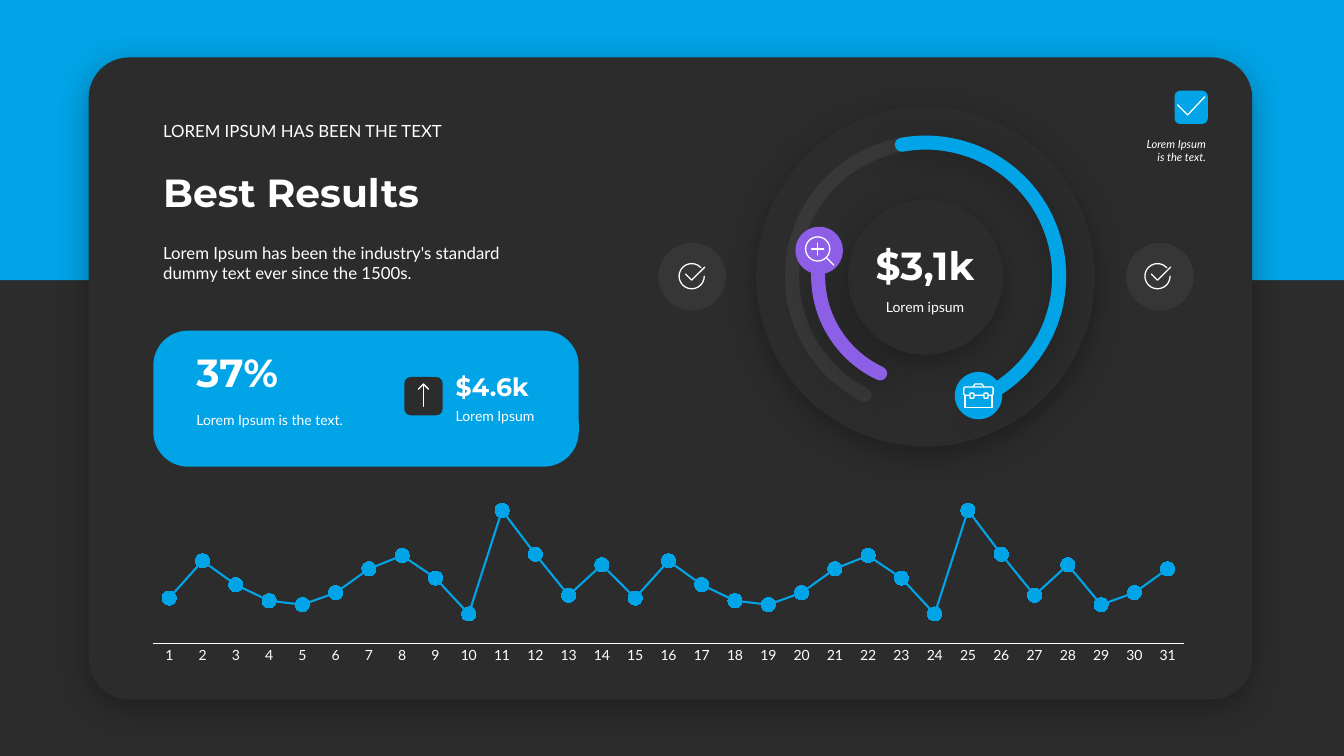
from lxml import etree
from pptx import Presentation
from pptx.chart.data import CategoryChartData
from pptx.dml.color import RGBColor
from pptx.enum.chart import XL_CHART_TYPE as ChartType, XL_MARKER_STYLE as Marker, XL_TICK_MARK as Tick
from pptx.enum.shapes import MSO_CONNECTOR as Connector, MSO_SHAPE as Shape
from pptx.enum.text import MSO_ANCHOR as Anchor, MSO_AUTO_SIZE as AutoSize, PP_ALIGN as Align
from pptx.oxml import parse_xml
from pptx.oxml.ns import nsdecls, qn
from pptx.util import Inches, Pt

BLUE = RGBColor(0x01, 0xA4, 0xE7)
DARK = RGBColor(0x2C, 0x2C, 0x2C)
PURPLE = RGBColor(0x8D, 0x5F, 0xE6)
WHITE = RGBColor(0xFF, 0xFF, 0xFF)
BODY_FONT, TITLE_FONT = "Lato", "Montserrat"
ICON_WIDTH = 0.9
RESULTS = [34, 62, 44, 32, 29, 38, 56, 66, 49, 22, 100, 67, 36, 59, 34, 62,
           44, 32, 29, 38, 56, 66, 49, 22, 100, 67, 36, 59, 29, 38, 56]


def set_alpha(shape, percent):
    for color in shape._element.spPr.iter(qn("a:srgbClr")):
        etree.SubElement(color, qn("a:alpha")).set("val", str(percent * 1000))


def add_soft_shadow(shape):
    effects = shape._element.spPr.find(qn("a:effectLst"))
    effects.append(parse_xml(
        f'<a:outerShdw {nsdecls("a")} blurRad="{Pt(23)}" dist="{Pt(6)}" dir="5400000" '
        'algn="t" rotWithShape="0"><a:srgbClr val="000000"><a:alpha val="30000"/>'
        '</a:srgbClr></a:outerShdw>'))


def add_filled(slide, kind, box, color, corner=None, alpha=None, shadow=False):
    shape = slide.shapes.add_shape(kind, *map(Inches, box))
    shape.shadow.inherit = False
    shape.fill.solid()
    shape.fill.fore_color.rgb = color
    shape.line.fill.background()
    if corner is not None:
        shape.adjustments[0] = corner
    if alpha is not None:
        set_alpha(shape, alpha)
    if shadow:
        add_soft_shadow(shape)


def style_stroke(shape, color, width):
    """Give an outline its colour, width and round ends."""
    shape.line.color.rgb = color
    shape.line.width = Pt(width)
    shape.line._ln.set("cap", "rnd")


def add_outline(slide, kind, box, color=WHITE, width=ICON_WIDTH):
    shape = slide.shapes.add_shape(kind, *map(Inches, box))
    shape.shadow.inherit = False
    shape.fill.background()
    style_stroke(shape, color, width)
    return shape


def add_arc(slide, center, radius, start, end, color=WHITE, width=ICON_WIDTH):
    """Draw an arc clockwise between two angles in degrees, counted from the right."""
    x, y = center
    arc = add_outline(slide, Shape.ARC, (x - radius, y - radius, 2 * radius, 2 * radius),
                      color, width)
    # One degree is 60000 units, and an adjustment of 1.0 is 100000 units.
    arc.adjustments[0], arc.adjustments[1] = start * 0.6, end * 0.6
    return arc


def add_line(slide, *ends):
    line = slide.shapes.add_connector(Connector.STRAIGHT, *map(Inches, ends))
    style_stroke(line, WHITE, ICON_WIDTH)
    etree.SubElement(line._element.spPr, qn("a:effectLst"))


def add_polyline(slide, points):
    start, *corners = [(Inches(x), Inches(y)) for x, y in points]
    builder = slide.shapes.build_freeform(*start)
    builder.add_line_segments(corners, close=False)
    polyline = builder.convert_to_shape()
    polyline.shadow.inherit = False
    polyline.fill.background()
    style_stroke(polyline, WHITE, ICON_WIDTH)


def add_text(slide, box, text, size, font=BODY_FONT, bold=False, italic=False,
             align=Align.LEFT, anchor=Anchor.TOP, side_inset=0.1, space_after=0):
    frame = slide.shapes.add_textbox(*map(Inches, box)).text_frame
    frame.text = text
    frame.word_wrap = True
    frame.auto_size = AutoSize.SHAPE_TO_FIT_TEXT
    frame.vertical_anchor = anchor
    frame.margin_left = frame.margin_right = Inches(side_inset)
    paragraph = frame.paragraphs[0]
    paragraph.alignment = align
    paragraph.space_after = Pt(space_after)
    style = paragraph.runs[0].font
    style.name, style.size, style.color.rgb = font, Pt(size), WHITE
    style.bold, style.italic = bold, italic


def add_headline(slide, box, text, size=28, **options):
    add_text(slide, box, text, size, TITLE_FONT, bold=True, anchor=Anchor.BOTTOM, **options)


def add_check_badge(slide, left, icon_x):
    add_filled(slide, Shape.OVAL, (left, 2.41, 0.67, 0.67), WHITE, alpha=5)
    add_arc(slide, (icon_x, 2.74), 0.125, -23, 318)
    add_polyline(slide, [(icon_x - 0.06, 2.72), (icon_x, 2.78), (icon_x + 0.13, 2.65)])


def add_briefcase(slide):
    add_outline(slide, Shape.ROUNDED_RECTANGLE, (9.56, 3.84, 0.29, 0.08))
    add_polyline(slide, [(9.57, 3.92), (9.57, 4.04), (9.84, 4.04), (9.84, 3.92)])
    add_polyline(slide, [(9.65, 3.84), (9.67, 3.81), (9.74, 3.81), (9.76, 3.84)])
    for clasp_left in (9.62, 9.76):
        add_filled(slide, Shape.ROUNDED_RECTANGLE, (clasp_left, 3.9, 0.04, 0.05), BLUE)
        add_outline(slide, Shape.ROUNDED_RECTANGLE, (clasp_left, 3.9, 0.04, 0.05))


def add_magnifier(slide):
    add_outline(slide, Shape.OVAL, (7.99, 2.35, 0.24, 0.24))
    add_line(slide, 8.05, 2.47, 8.17, 2.47)
    add_line(slide, 8.11, 2.41, 8.11, 2.53)
    add_line(slide, 8.2, 2.56, 8.27, 2.63)


def add_gauge(slide):
    center = (9.18, 2.74)
    add_filled(slide, Shape.OVAL, (7.5, 1.06, 3.36, 3.37), DARK, shadow=True)
    set_alpha(add_arc(slide, center, 1.325, 117.12, 66.08, WHITE, 10), 5)
    add_filled(slide, Shape.OVAL, (8.41, 1.98, 1.54, 1.54), DARK, shadow=True)
    add_soft_shadow(add_arc(slide, center, 1.325, 259.76, 65.68, BLUE, 10))
    add_text(slide, (8.36, 2.91, 1.63, 0.27), "Lorem ipsum", 10,
             align=Align.CENTER, space_after=6)
    add_headline(slide, (8.36, 2.34, 1.63, 0.57), "$3,1k",
                 align=Align.CENTER, side_inset=0.08, space_after=6)
    add_filled(slide, Shape.OVAL, (9.47, 3.69, 0.47, 0.47), BLUE)
    add_briefcase(slide)
    add_soft_shadow(add_arc(slide, center, 1.065, 115.04, 181.31, PURPLE, 10))
    add_filled(slide, Shape.OVAL, (7.89, 2.25, 0.47, 0.47), PURPLE)
    add_magnifier(slide)


def add_intro(slide):
    add_text(slide, (1.52, 1.15, 3.68, 0.3), "LOREM IPSUM HAS BEEN THE TEXT", 12,
             anchor=Anchor.BOTTOM)
    add_headline(slide, (1.52, 1.62, 3.68, 0.57), "Best Results")
    add_text(slide, (1.52, 2.36, 3.68, 0.5),
             "Lorem Ipsum has been the industry's standard dummy text ever since the 1500s.", 12)


def add_corner_note(slide):
    add_filled(slide, Shape.ROUNDED_RECTANGLE, (11.65, 0.9, 0.33, 0.33), BLUE)
    add_polyline(slide, [(11.68, 1.04), (11.78, 1.14), (11.95, 0.96)])
    add_text(slide, (11.24, 1.31, 0.82, 0.37), "Lorem Ipsum is the text.", 8,
             italic=True, align=Align.RIGHT)


def add_growth_panel(slide):
    add_filled(slide, Shape.ROUNDED_RECTANGLE, (1.52, 3.28, 4.22, 1.35), BLUE, corner=0.257)
    add_headline(slide, (1.85, 3.4, 1.88, 0.57), "37%")
    add_text(slide, (1.85, 4.03, 1.84, 0.27), "Lorem Ipsum is the text.", 10)
    add_filled(slide, Shape.ROUNDED_RECTANGLE, (4.01, 3.74, 0.38, 0.38), DARK)
    add_line(slide, 4.2, 4.03, 4.2, 3.81)
    add_polyline(slide, [(4.15, 3.86), (4.2, 3.81), (4.25, 3.86)])
    add_headline(slide, (4.52, 3.63, 1.04, 0.4), "$4.6k", size=18, side_inset=0)
    add_text(slide, (4.52, 3.99, 1.04, 0.27), "Lorem Ipsum", 10, side_inset=0)


def add_results_chart(slide):
    data = CategoryChartData()
    data.categories = [str(day) for day in range(1, len(RESULTS) + 1)]
    data.add_series("Series 1", RESULTS)
    chart = slide.shapes.add_chart(ChartType.LINE_MARKERS_STACKED,
                                   *map(Inches, (1.3, 4.8, 10.66, 1.84)), data).chart
    chart.has_title = chart.has_legend = False
    chart.font.name, chart.font.size, chart.font.color.rgb = BODY_FONT, Pt(10), WHITE
    days, values = chart.category_axis, chart.value_axis
    days.major_tick_mark = days.minor_tick_mark = Tick.NONE
    days.format.line.color.rgb, days.format.line.width = WHITE, Pt(0.75)
    values.visible = values.has_major_gridlines = False
    values.minimum_scale, values.maximum_scale = 0, 120
    plot = chart.plots[0]
    plot.vary_by_categories = False
    series = plot.series[0]
    series.smooth = False
    series.format.line.color.rgb, series.format.line.width = BLUE, Pt(1.5)
    series.marker.style, series.marker.size = Marker.CIRCLE, 10
    series.marker.format.fill.solid()
    series.marker.format.fill.fore_color.rgb = BLUE
    series.marker.format.line.color.rgb = BLUE
    plot_area = chart._chartSpace.chart.plotArea
    for layout in plot_area.findall(qn("c:layout")):
        plot_area.remove(layout)
    plot_area.insert(0, parse_xml(
        f'<c:layout {nsdecls("c")}><c:manualLayout><c:layoutTarget val="inner"/>'
        '<c:xMode val="edge"/><c:yMode val="edge"/><c:x val="0.02"/><c:y val="0"/>'
        '<c:w val="0.96"/><c:h val="0.86"/></c:manualLayout></c:layout>'))


def main():
    deck = Presentation()
    deck.slide_width, deck.slide_height = Inches(13.33), Inches(7.5)
    slide = deck.slides.add_slide(deck.slide_layouts[6])
    slide.background.fill.solid()
    slide.background.fill.fore_color.rgb = DARK
    add_filled(slide, Shape.RECTANGLE, (0, 0, 13.33, 2.78), BLUE)
    add_filled(slide, Shape.ROUNDED_RECTANGLE, (0.88, 0.57, 11.54, 6.37), DARK,
               corner=0.063, shadow=True)
    add_gauge(slide)
    add_intro(slide)
    for left, icon_x in ((11.17, 11.48), (6.53, 6.86)):
        add_check_badge(slide, left, icon_x)
    add_corner_note(slide)
    add_growth_panel(slide)
    add_results_chart(slide)
    deck.save("out.pptx")


if __name__ == "__main__":
    main()
